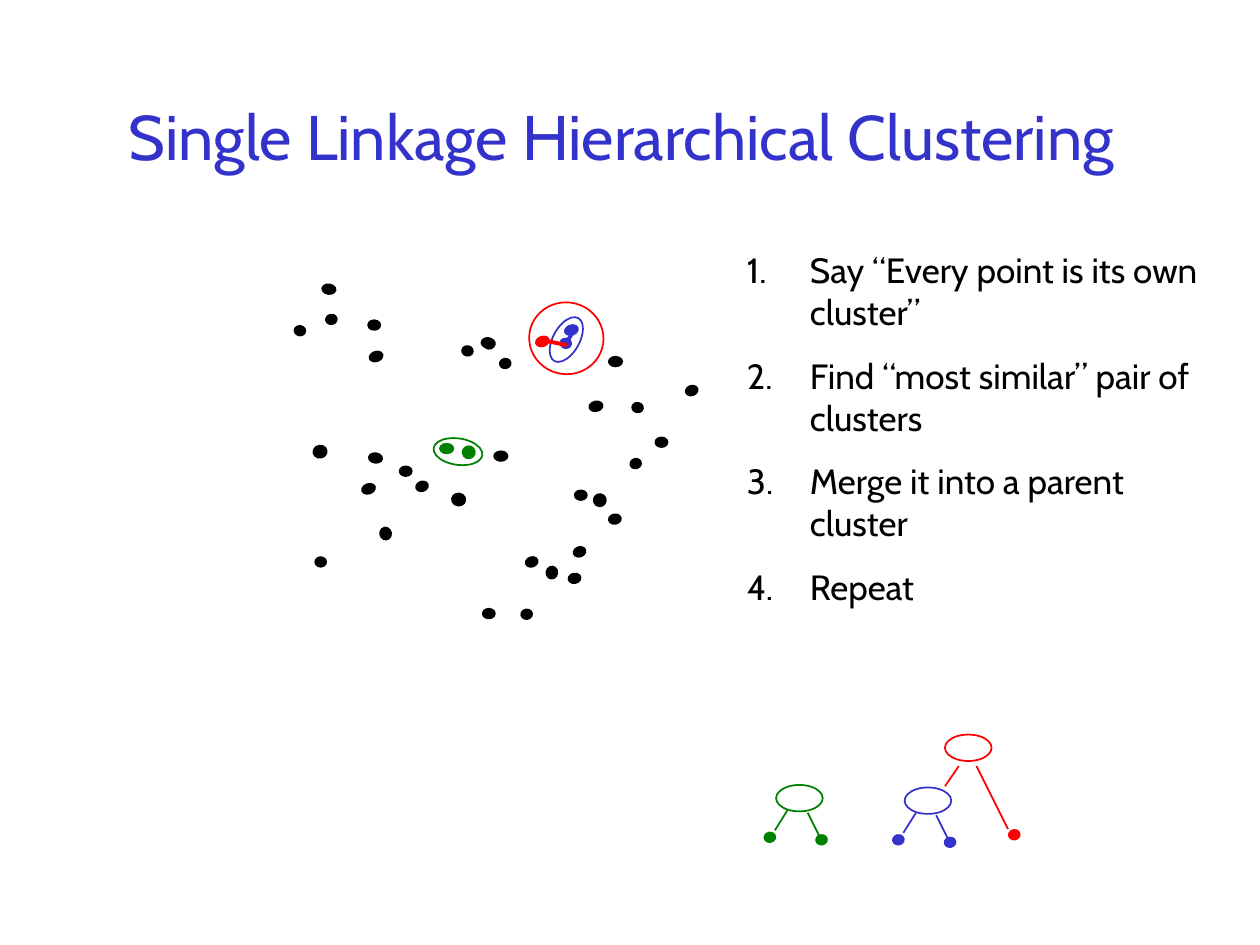
"""Builds a slide on single linkage hierarchical clustering."""
from lxml import etree
from pptx import Presentation
from pptx.dml.color import RGBColor
from pptx.enum.shapes import MSO_CONNECTOR, MSO_SHAPE
from pptx.enum.text import MSO_ANCHOR as ANCHOR, PP_ALIGN as ALIGN
from pptx.oxml.ns import qn
from pptx.util import Inches, Pt

COLORS = {"black": "000000", "blue": "3333CC", "green": "008000", "red": "FF0000"}
RGB = {name: RGBColor.from_string(code) for name, code in COLORS.items()}

prs = Presentation()
prs.slide_width, prs.slide_height = Inches(10), Inches(7.5)
slide = prs.slides.add_slide(prs.slide_layouts[6])


def add_text(text, *, at, size, color, align=ALIGN.LEFT, anchor=ANCHOR.TOP,
             gap=0, numbered=False):
    frame = slide.shapes.add_textbox(*map(Inches, at)).text_frame
    frame.word_wrap = True
    frame.vertical_anchor = anchor
    frame.text = text
    for index, paragraph in enumerate(frame.paragraphs):
        paragraph.alignment = align
        if index:
            paragraph.space_before = Pt(gap)
        if numbered:
            props = paragraph._p.get_or_add_pPr()
            props.set("marL", str(Inches(0.5)))
            props.set("indent", str(-Inches(0.5)))
            etree.SubElement(props, qn("a:buFont"), typeface="+mj-lt")
            etree.SubElement(props, qn("a:buAutoNum"), type="arabicPeriod")
        font = paragraph.runs[0].font
        font.name, font.size, font.color.rgb = "Cabin", Pt(size), RGB[color]


add_text("Single Linkage Hierarchical Clustering", at=(0.67, 0.75, 8.52, 0.67),
         size=36, color="blue", align=ALIGN.CENTER, anchor=ANCHOR.BOTTOM)
steps = ["Say “Every point is its own cluster”", "Find “most similar” pair of clusters",
         "Merge it into a parent cluster", "Repeat"]
add_text("\n".join(steps), at=(5.83, 1.92, 3.83, 2.96), size=20, color="black",
         gap=12.5, numbered=True)

points_by_tilt = {
    0: [(3.17, 3.7, 0.1, 0.08), (5.2, 3.47, 0.1, 0.08), (3.83, 4.83, 0.1, 0.08),
        (3.92, 3.58, 0.11, 0.08), (3.82, 2.68, 0.1, 0.08), (2.92, 2.54, 0.1, 0.08),
        (2.5, 4.42, 0.09, 0.08), (4.56, 3.89, 0.1, 0.08), (4.83, 2.83, 0.11, 0.08)],
    341.4: [(5.44, 3.06, 0.1, 0.08), (4.17, 4.42, 0.1, 0.08), (4.55, 4.34, 0.1, 0.08),
            (2.87, 3.84, 0.11, 0.08), (3.84, 2.69, 0.09, 0.08), (2.93, 2.79, 0.11, 0.08),
            (3.3, 3.82, 0.1, 0.08), (5, 3.64, 0.09, 0.08)],
    98.2: [(2.34, 2.58, 0.08, 0.09), (3.59, 3.91, 0.1, 0.11), (2.94, 3.58, 0.08, 0.11),
           (3.67, 2.74, 0.08, 0.09), (4.71, 3.92, 0.1, 0.1), (5.02, 3.19, 0.08, 0.09),
           (2.57, 2.24, 0.08, 0.11), (4.33, 4.5, 0.1, 0.09)],
    79.6: [(4.14, 4.83, 0.08, 0.09), (2.49, 3.53, 0.1, 0.11), (3.01, 4.19, 0.1, 0.09),
           (2.59, 2.49, 0.08, 0.09), (4.84, 4.07, 0.08, 0.1), (4.69, 3.17, 0.08, 0.11),
           (3.97, 2.84, 0.08, 0.09), (4.52, 4.54, 0.08, 0.1)],
}
dots = [("black", tilt, at) for tilt, places in points_by_tilt.items() for at in places]
dots += [("green", 0, (3.49, 3.52, 0.11, 0.08)), ("green", 79.6, (3.67, 3.54, 0.1, 0.1)),
         ("blue", 341.4, (4.48, 2.58, 0.11, 0.08)), ("blue", 98.2, (4.45, 2.68, 0.08, 0.09)),
         ("red", 341.4, (4.25, 2.67, 0.11, 0.08)), ("red", 79.6, (8.01, 6.58, 0.08, 0.09))]
rings = [("blue", 299.1, (4.3, 2.59, 0.39, 0.21)), ("green", 8.3, (3.44, 3.48, 0.39, 0.21)),
         ("red", 8.3, (4.2, 2.4, 0.59, 0.57)), ("red", 0, (7.5, 5.83, 0.37, 0.21))]
links = [("blue", 2.25, (4.49, 2.73, 4.55, 2.63)), ("green", 2.25, (3.53, 3.56, 3.58, 3.57)),
         ("red", 2.25, (4.31, 2.7, 4.5, 2.74)), ("red", 1, (7.5, 6.24, 7.61, 6.08)),
         ("red", 1, (7.75, 6.08, 8, 6.58))]

for color, left, top in [("green", 6.16, 6.23), ("blue", 7.18, 6.25)]:
    rings.append((color, 0, (left, top, 0.37, 0.21)))
    dots += [(color, 79.6, (left + dx, top + dy, 0.08, 0.09))
             for dx, dy in [(-0.09, 0.37), (0.32, 0.39)]]
    links += [(color, 1, (left + x1, top + y1, left + x2, top + y2))
              for x1, y1, x2, y2 in [(-0.01, 0.36, 0.09, 0.2), (0.25, 0.22, 0.36, 0.44)]]

for ellipses, filled, width in [(dots, True, 0.75), (rings, False, 1)]:
    for color, tilt, at in ellipses:
        ellipse = slide.shapes.add_shape(MSO_SHAPE.OVAL, *map(Inches, at))
        ellipse.rotation = tilt
        ellipse.shadow.inherit = False
        ellipse.line.color.rgb, ellipse.line.width = RGB[color], Pt(width)
        if filled:
            ellipse.fill.solid()
            ellipse.fill.fore_color.rgb = RGB[color]
        else:
            ellipse.fill.background()

for color, width, ends in links:
    link = slide.shapes.add_connector(MSO_CONNECTOR.STRAIGHT, *map(Inches, ends))
    link.line.color.rgb, link.line.width = RGB[color], Pt(width)
    etree.SubElement(link._element.spPr, qn("a:effectLst"))

prs.save("out.pptx")
